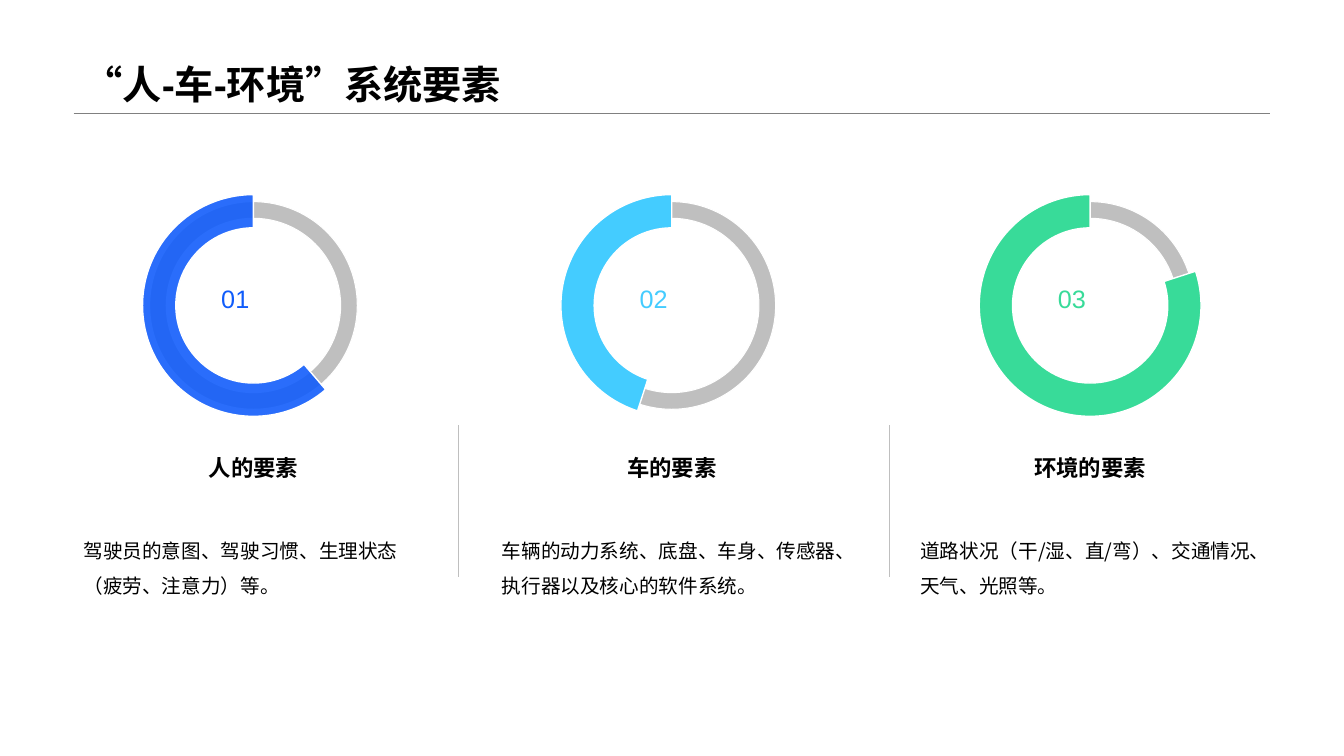
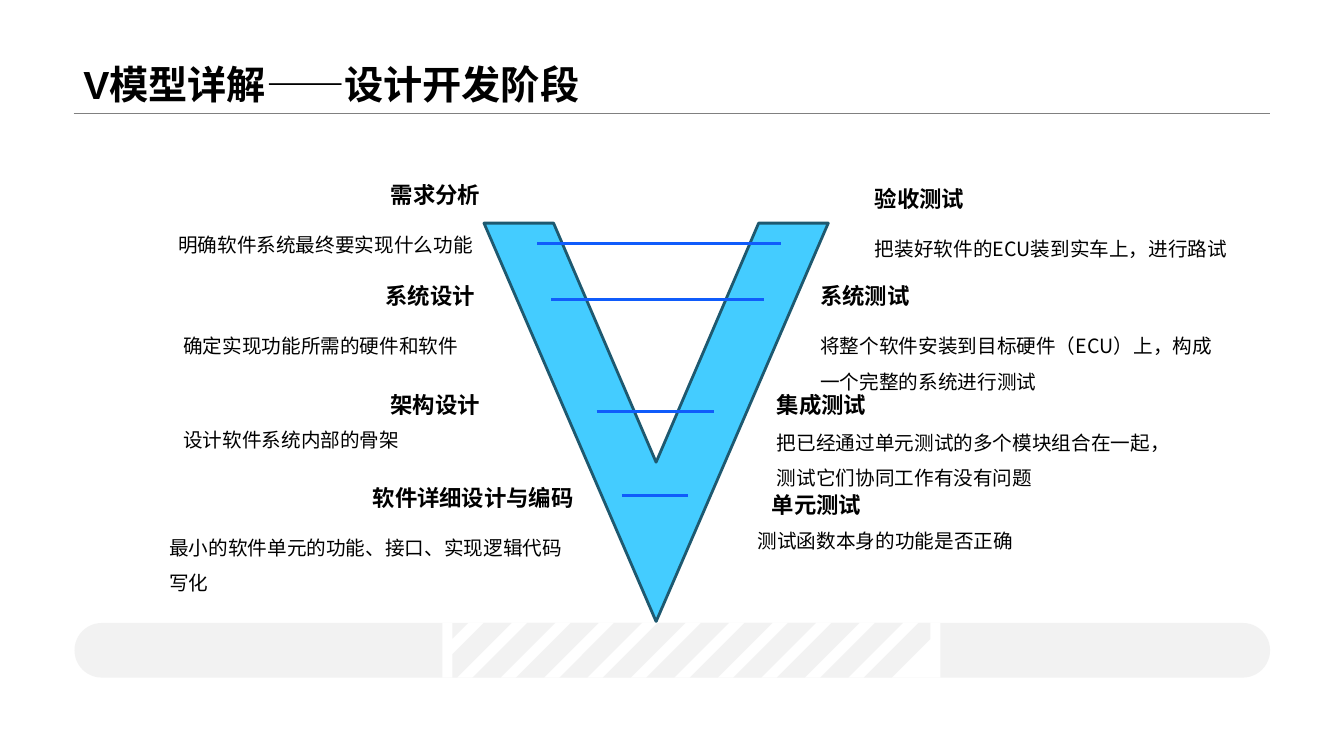
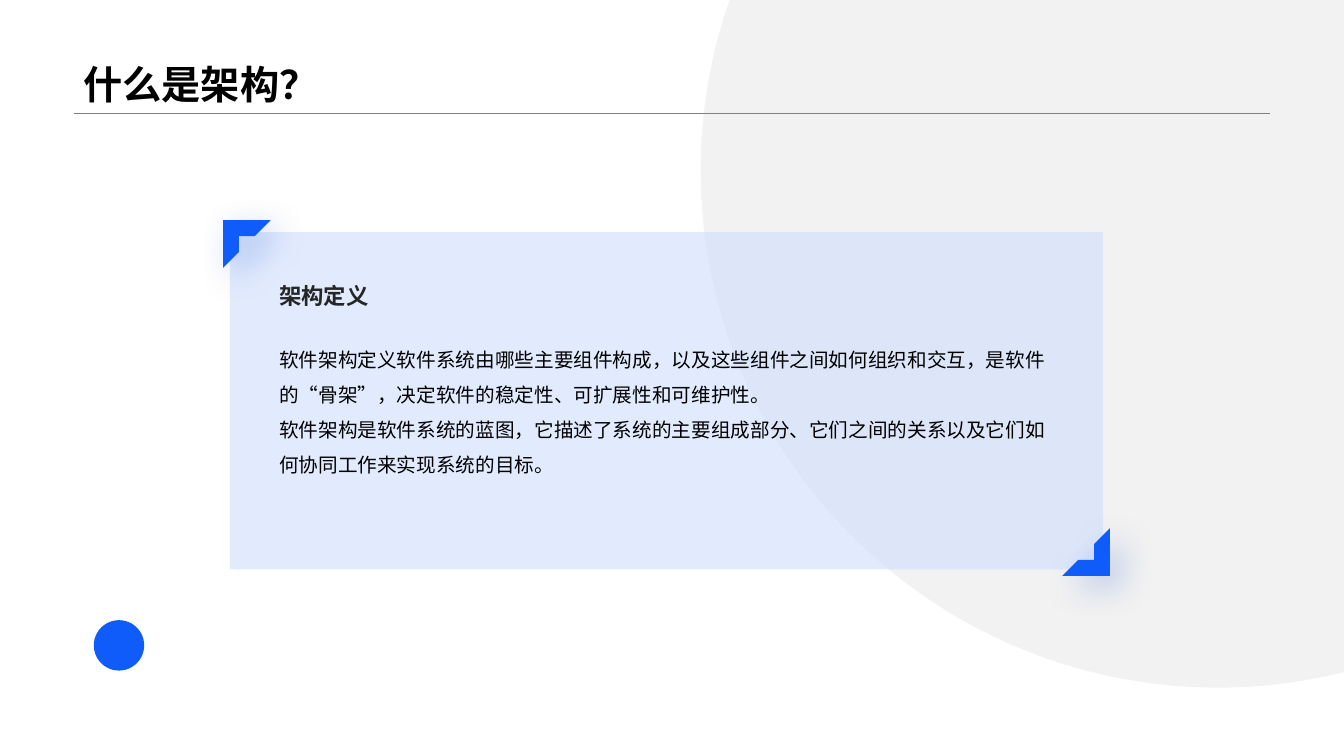
import math

import pptx
import pptx.dml.color
import pptx.enum.shapes
import pptx.enum.text
import pptx.oxml
import pptx.oxml.ns
import pptx.util
from lxml import etree

Pt = pptx.util.Pt
RGB = pptx.dml.color.RGBColor
SHAPE = pptx.enum.shapes.MSO_SHAPE
ANCHOR = pptx.enum.text.MSO_ANCHOR
ALIGN = pptx.enum.text.PP_ALIGN
AUTO = pptx.enum.text.MSO_AUTO_SIZE
qn = pptx.oxml.ns.qn

BLACK = RGB(0x00, 0x00, 0x00)
WHITE = RGB(0xFF, 0xFF, 0xFF)
INK = RGB(0x26, 0x26, 0x26)
GRAY = RGB(0x80, 0x80, 0x80)
SILVER = RGB(0xBF, 0xBF, 0xBF)
PALE = RGB(0xF2, 0xF2, 0xF2)
BLUE = RGB(0x10, 0x5C, 0xFB)
SKY = RGB(0x44, 0xCC, 0xFF)
GREEN = RGB(0x38, 0xDB, 0x99)
ICE = RGB(0xCF, 0xDE, 0xFE)
TEAL = RGB(0x1E, 0x59, 0x70)
GLOW = RGB(0x03, 0x42, 0xC5)

CJK = "Noto Sans CJK SC"
SLIDE_W, SLIDE_H = 960, 540
LEFT, CONTENT_W, RULE_Y = 52.56, 854.64, 80.9

# Font and line spacing of each kind of text
STYLES = {
    "title": ({"name": "Arial", "size": Pt(28), "bold": True}, 0.9),
    "heading": ({"name": "Arial", "size": Pt(16), "bold": True}, None),
    "body": ({"name": CJK, "size": Pt(14)}, 1.5),
    "number": ({"name": "Arial", "size": Pt(18)}, None),
}


# Basic parts

def add_text(s, x, y, w, h, text, style, color=BLACK, align=None,
             anchor=ANCHOR.TOP, inset=True, wrap=True, grow=True):
    tf = s.shapes.add_textbox(Pt(x), Pt(y), Pt(w), Pt(h)).text_frame
    frame = {"word_wrap": wrap, "vertical_anchor": anchor,
             "auto_size": AUTO.SHAPE_TO_FIT_TEXT if grow else AUTO.NONE}
    if not inset:
        frame.update({"margin_" + side: 0
                      for side in ("left", "top", "right", "bottom")})
    for key, value in frame.items():
        setattr(tf, key, value)
    font, spacing = STYLES[style]
    for i, line in enumerate(text.split("\n")):
        p = tf.add_paragraph() if i else tf.paragraphs[0]
        p.alignment = align
        p.line_spacing = spacing
        r = p.add_run()
        r.text = line
        for key, value in font.items():
            setattr(r.font, key, value)
        r.font.color.rgb = color
        rpr = r._r.get_or_add_rPr()
        rpr.set("lang", "zh-CN")
        etree.SubElement(rpr, qn("a:ea")).set("typeface", CJK)


def paint(sp, fill, line=None, width=1, alpha=None):
    sp.shadow.inherit = False
    sp.fill.solid()
    sp.fill.fore_color.rgb = fill
    if alpha:
        clr = sp.element.spPr.find(qn("a:solidFill"))[0]
        etree.SubElement(clr, qn("a:alpha")).set("val", str(alpha * 1000))
    if line is None:
        sp.line.fill.background()
    else:
        sp.line.color.rgb = line
        sp.line.width = Pt(width)
    return sp


def add_shape(s, kind, x, y, w, h, fill, adj=(), **look):
    sp = s.shapes.add_shape(kind, Pt(x), Pt(y), Pt(w), Pt(h))
    for i, value in enumerate(adj):
        sp.adjustments[i] = value
    return paint(sp, fill, **look)


def add_outline(s, points, fill, **look):
    pts = [(Pt(x), Pt(y)) for x, y in points]
    fb = s.shapes.build_freeform(*pts[0])
    fb.add_line_segments(pts[1:], close=True)
    return paint(fb.convert_to_shape(), fill, **look)


def add_line(s, x1, y1, x2, y2, color, width=0.25):
    c = s.shapes.add_connector(pptx.enum.shapes.MSO_CONNECTOR.STRAIGHT,
                               Pt(x1), Pt(y1), Pt(x2), Pt(y2))
    c.line.color.rgb = color
    c.line.width = Pt(width)
    etree.SubElement(c.element.spPr, qn("a:effectLst"))


def new_slide(prs):
    return prs.slides.add_slide(prs.slide_layouts[6])


def add_title(s, text):
    add_line(s, LEFT, RULE_Y, LEFT + CONTENT_W, RULE_Y, GRAY)
    add_text(s, LEFT, 0, CONTENT_W, RULE_Y, text, "title",
             anchor=ANCHOR.BOTTOM, grow=False)


# Slide 1: three ring columns

RINGS = [
    ("01", "人的要素", "驾驶员的意图、驾驶习惯、生理状态（疲劳、注意力）等。", BLUE, 78.39, 89),
    ("02", "车的要素", "车辆的动力系统、底盘、车身、传感器、执行器以及核心的软件系统。", SKY, 43.2, None),
    ("03", "环境的要素", "道路状况（干/湿、直/弯）、交通情况、天气、光照等。", GREEN, 118.8, None),
]


def ring_column(s, x, y, w, number, heading, body, color, end, alpha):
    cx, cy = x + w / 2, y + 79.2
    track, arc = 148.3, 158.4
    add_shape(s, SHAPE.DONUT, cx - track / 2, cy - track / 2, track, track,
              SILVER, [0.08], line=WHITE, width=0.75)
    sp = add_shape(s, SHAPE.BLOCK_ARC, cx - arc / 2, cy - arc / 2, arc, arc,
                   color, [162, end, 0.15], line=WHITE, alpha=alpha)
    sp.element.spPr.find(qn("a:xfrm")).set("flipH", "1")
    add_text(s, cx - 23, y + 63.3, 45.4, 33.8, number, "number", color,
             inset=False, wrap=False, grow=False)
    add_text(s, x, y + 182.2, w, 26.6, heading, "heading", align=ALIGN.CENTER)
    add_text(s, x, y + 234, w, 80.6, body, "body")


def elements_slide(prs):
    s = new_slide(prs)
    add_title(s, "“人-车-环境”系统要素")
    col_w = 257
    pitch = (CONTENT_W - col_w) / (len(RINGS) - 1)
    for i, ring in enumerate(RINGS):
        ring_column(s, LEFT + i * pitch, 139, col_w, *ring)
    for x in (327.6, 635):
        add_line(s, x, 303.8, x, 411.8, SILVER)


# Slide 2: V model

# Heading, body, heading box (x, y, width), body offset (dx, dy), width, lines
DESIGN = [
    ("需求分析", "明确软件系统最终要实现什么功能", 52.6, 125.3, 297.4, 67.6, 28.8, 230.4, 1),
    ("系统设计", "确定实现功能所需的硬件和软件", 56.9, 198, 289.4, 66.9, 28.8, 222.5, 1),
    ("架构设计", "设计软件系统内部的骨架", 128.9, 275.8, 221, -5.1, 18, 303.1, 1),
    ("软件详细设计与编码", "最小的软件单元的功能、接口、实现逻辑代码写化",
     113.8, 342, 303.1, 0, 28.8, 303.1, 2),
]
TESTING = [
    ("验收测试", "把装好软件的ECU装到实车上，进行路试", 617.8, 128.2, 303.1, 0, 28.8, 303.1, 1),
    ("系统测试", "将整个软件安装到目标硬件（ECU）上，构成一个完整的系统进行测试",
     578.9, 198, 303.1, 0, 28.8, 303.1, 2),
    ("集成测试", "把已经通过单元测试的多个模块组合在一起，测试它们协同工作有没有问题",
     547.9, 275.8, 289.4, 0, 20.1, 289.4, 2),
    ("单元测试", "测试函数本身的功能是否正确", 544.3, 347, 297.4, -10.1, 18.8, 297.4, 1),
]
# Left end, right end and height of each link between the arms
LINKS = [(383.8, 558, 173.9), (393.8, 545.8, 213.8),
         (426.2, 509.8, 293.8), (444.2, 491.8, 354.2)]


def stage(s, align, heading, body, x, y, w, dx, dy, body_w, lines):
    add_text(s, x + dx, y + dy, body_w, 6.5 + 25.9 * lines, body, "body")
    add_text(s, x, y, w, 26.6, heading, "heading", align=align,
             anchor=ANCHOR.BOTTOM)


def v_shape(s, x, y, w, h):
    cx, arm = x + w / 2, 49.7
    add_outline(s, [(x, y), (x + arm, y), (cx, y + 0.6 * h),
                    (x + w - arm, y), (x + w, y), (cx, y + h)],
                SKY, line=TEAL, width=2)


def clip(points, limit, sign):
    """Keep the part of a polygon where sign * (x - limit) >= 0."""
    kept = []
    for (x1, y1), (x2, y2) in zip(points, points[1:] + points[:1]):
        d1, d2 = sign * (x1 - limit), sign * (x2 - limit)
        if d1 >= 0:
            kept.append((x1, y1))
        if d1 * d2 < 0:
            kept.append((limit, y1 + (y2 - y1) * d1 / (d1 - d2)))
    return kept


def striped_band(s, x, y, w, h):
    add_shape(s, SHAPE.ROUNDED_RECTANGLE, x, y, w, h, PALE, [0.5])
    add_shape(s, SHAPE.RECTANGLE, x + 262.8, y, 355.7, h, WHITE)
    start, end = x + 270, x + 611.3
    pitch, stripe = 31.05, 20
    for i in range(12):
        left = start - 47.8 + i * pitch
        points = [(left + h, y), (left + h + stripe, y),
                  (left + stripe, y + h), (left, y + h)]
        add_outline(s, clip(clip(points, start, 1), end, -1), PALE)


def v_model_slide(prs):
    s = new_slide(prs)
    add_title(s, "V模型详解——设计开发阶段")
    v_shape(s, 345.7, 159.4, 245.9, 284.6)
    striped_band(s, 53.2, 445, 854, 39)
    for align, rows in ((ALIGN.RIGHT, DESIGN), (ALIGN.LEFT, TESTING)):
        for row in rows:
            stage(s, align, *row)
    for x1, x2, y in LINKS:
        add_line(s, x1, y, x2, y, BLUE, 2)


# Slide 3: definition card

def backdrop(s, cx, cy, radius):
    """Circle cut off by the top right corner of the slide."""
    first = math.acos((SLIDE_W - cx) / radius)
    last = math.pi + math.asin(cy / radius)
    steps = 120
    angles = [first + (last - first) * i / steps for i in range(steps + 1)]
    arc = [(cx + radius * math.cos(a), cy + radius * math.sin(a))
           for a in angles]
    add_outline(s, arc + [(SLIDE_W, 0)], GRAY, alpha=10)


def corner(s, x, y, rotation):
    sp = add_shape(s, SHAPE.HALF_FRAME, x, y, 34, 34, BLUE)
    sp.rotation = rotation
    effects = sp.element.spPr.find(qn("a:effectLst"))
    shadow = etree.SubElement(effects, qn("a:outerShdw"))
    for key, value in {"blurRad": Pt(25), "dist": Pt(10), "dir": 45 * 60000,
                       "algn": "tl", "rotWithShape": 0}.items():
        shadow.set(key, str(int(value)) if key != "algn" else value)
    clr = etree.SubElement(shadow, qn("a:srgbClr"))
    clr.set("val", str(GLOW))
    etree.SubElement(clr, qn("a:alpha")).set("val", "30000")


def definition_card(s, x, y, w, h, heading, body):
    add_shape(s, SHAPE.RECTANGLE, x, y, w, h, ICE, alpha=60)
    corner(s, x - 4.8, y - 8.5, 0)
    add_text(s, x + 35.2, y + 74, 553, 98.6, body, "body", inset=False)
    add_text(s, x + 35.2, y + 35.8, 553, 19.4, heading, "heading", INK,
             inset=False)
    corner(s, x + w - 29, y + h - 29.5, 180)


def definition_slide(prs):
    s = new_slide(prs)
    backdrop(s, 869.9, 121.8, 369.4)
    add_title(s, "什么是架构？")
    add_shape(s, SHAPE.OVAL, 67, 443, 36, 36, BLUE)
    definition_card(
        s, 164.2, 165.8, 623.6, 241, "架构定义",
        "软件架构定义软件系统由哪些主要组件构成，以及这些组件之间如何组织和交互，"
        "是软件的“骨架”，决定软件的稳定性、可扩展性和可维护性。\n"
        "软件架构是软件系统的蓝图，它描述了系统的主要组成部分、"
        "它们之间的关系以及它们如何协同工作来实现系统的目标。")


def main():
    prs = pptx.Presentation()
    prs.slide_width, prs.slide_height = Pt(SLIDE_W), Pt(SLIDE_H)
    for build in (elements_slide, v_model_slide, definition_slide):
        build(prs)
    prs.save("out.pptx")


if __name__ == "__main__":
    main()
